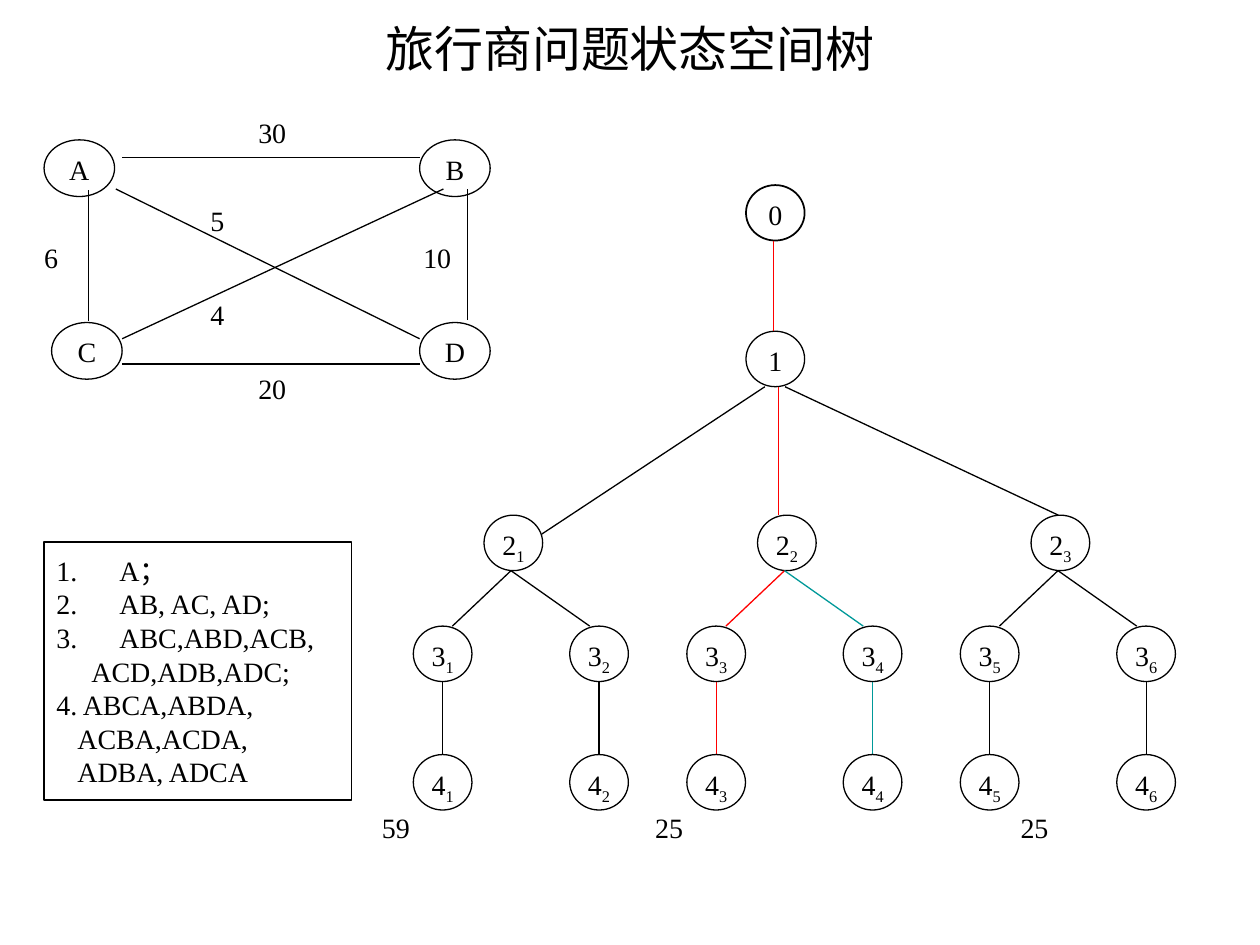
from lxml import etree
from pptx import Presentation
from pptx.dml.color import RGBColor
from pptx.enum.shapes import MSO_CONNECTOR, MSO_SHAPE
from pptx.enum.text import MSO_ANCHOR, PP_ALIGN
from pptx.oxml.ns import qn
from pptx.util import Pt

BLACK = RGBColor(0x00, 0x00, 0x00)
RED = RGBColor(0xFF, 0x00, 0x00)
TEAL = RGBColor(0x00, 0x99, 0x99)
STRAIGHT = MSO_CONNECTOR.STRAIGHT
ELLIPSE, RECTANGLE = MSO_SHAPE.OVAL, MSO_SHAPE.RECTANGLE
TOP, MIDDLE = MSO_ANCHOR.TOP, MSO_ANCHOR.MIDDLE
LEFT, CENTER = PP_ALIGN.LEFT, PP_ALIGN.CENTER
FONT, TITLE_FONT = "Times New Roman", "Arial"


def add_run(p, text, size=16, font=FONT):
    r = p.add_run()
    r.text = text
    r.font.size = Pt(size)
    r.font.name = font
    r.font.color.rgb = BLACK
    return r


def set_insets(tf, x, y):
    tf.margin_left = tf.margin_right = Pt(x)
    tf.margin_top = tf.margin_bottom = Pt(y)


def add_outline(shapes, kind, x, y, w, h, weight):
    sp = shapes.add_shape(kind, Pt(x), Pt(y), Pt(w), Pt(h))
    sp.shadow.inherit = False
    sp.fill.background()
    sp.line.color.rgb = BLACK
    sp.line.width = Pt(weight)
    return sp


def add_node(shapes, x, y, w, h, text, sub="", weight=0.75):
    tf = add_outline(shapes, ELLIPSE, x, y, w, h, weight).text_frame
    set_insets(tf, 0, 0)
    tf.word_wrap = True
    tf.vertical_anchor = TOP
    p = tf.paragraphs[0]
    p.alignment = CENTER
    p.line_spacing = 1.12
    add_run(p, text)
    if sub:
        r = add_run(p, sub)
        r._r.get_or_add_rPr().set("baseline", "-25000")


def add_edge(shapes, x1, y1, x2, y2, color=BLACK):
    line = shapes.add_connector(STRAIGHT, Pt(x1), Pt(y1), Pt(x2), Pt(y2))
    line.line.color.rgb = color
    line.line.width = Pt(0.75)
    etree.SubElement(line._element.spPr, qn("a:effectLst"))


def add_label(shapes, x, y, text):
    tf = shapes.add_textbox(Pt(x), Pt(y), Pt(18.7), Pt(17.3)).text_frame
    set_insets(tf, 0, 0)
    tf.word_wrap = True
    add_run(tf.paragraphs[0], text)


def format_title(sp, x, y, w, h):
    sp.left, sp.top, sp.width, sp.height = Pt(x), Pt(y), Pt(w), Pt(h)
    tf = sp.text_frame
    tf.vertical_anchor = MIDDLE
    p = tf.paragraphs[0]
    p.alignment = CENTER
    add_run(p, "旅行商问题状态空间树", 28, TITLE_FONT)


def draw_city_graph(shapes, x, y):
    cities = [("A", 0, 13.7), ("B", 214.6, 13.7),
              ("C", 4.3, 118.1), ("D", 214.6, 118.1)]
    roads = [(44.6, 23.8, 214.6, 23.8), (25.2, 42.5, 25.2, 117.4),
             (241.9, 41.8, 241.9, 116.6), (44.6, 141.8, 214.6, 141.8),
             (44.6, 127.4, 228.2, 41.8), (41, 41.8, 214.6, 127.4)]
    distances = [("30", 122.4, 0), ("5", 95, 50.4), ("6", 0, 71.3),
                 ("10", 216.7, 71.3), ("4", 95, 103.7), ("20", 122.4, 146.2)]
    for name, dx, dy in cities:
        add_node(shapes, x + dx, y + dy, 40.3, 32.4, name)
    for x1, y1, x2, y2 in roads:
        add_edge(shapes, x + x1, y + y1, x + x2, y + y2)
    for text, dx, dy in distances:
        add_label(shapes, x + dx, y + dy, text)


def draw_state_tree(shapes, x, y):
    w, h, pitch = 33.5, 31.7, 156.3
    root_x = x + 190.1
    levels = [y + dy for dy in (0, 83.5, 188.6, 252, 325.4)]
    bottoms = [level + h for level in levels]
    add_node(shapes, root_x, levels[0], w, h, "0", weight=1)
    add_node(shapes, root_x, levels[1], w, h, "1")
    add_edge(shapes, x + 205.9, bottoms[0], x + 205.9, levels[1], RED)
    add_edge(shapes, x + 200.9, bottoms[1], x + 73.4, y + 199.4)
    add_edge(shapes, x + 208.8, bottoms[1], x + 208.8, levels[2], RED)
    add_edge(shapes, x + 212.4, bottoms[1], x + 368.6, levels[2])

    branch_colors = [(BLACK, BLACK), (RED, TEAL), (BLACK, BLACK)]
    for i, colors in enumerate(branch_colors):
        left = x + i * pitch
        add_node(shapes, left + 40.4, levels[2], w, h, "2", str(i + 1))
        for j, color in enumerate(colors):
            sub = str(2 * i + j + 1)
            leaf_x = left + j * 89.4
            mid = leaf_x + w / 2
            add_edge(shapes, left + 55.8, bottoms[2],
                     left + (22.3, 100.8)[j], levels[3], color)
            add_edge(shapes, mid, bottoms[3], mid, levels[4], color)
            add_node(shapes, leaf_x, levels[3], w, h, "3", sub)
            add_node(shapes, leaf_x, levels[4], w, h, "4", sub)


def draw_costs(shapes, x, y):
    for text, dx in (("59", 0), ("25", 156.2), ("25", 365)):
        add_label(shapes, x + dx, y, text)


def draw_path_list(shapes, x, y, w, h):
    numbered = ["A；", "AB, AC, AD;", "ABC,ABD,ACB,"]
    plain = [("ACD,ADB,ADC;", 20), ("4. ABCA,ABDA,", 0),
             ("ACBA,ACDA,", 12), ("ADBA, ADCA", 12)]
    rows = [(text, 36, -36) for text in numbered]
    rows += [(text, margin, 0) for text, margin in plain]
    tf = add_outline(shapes, RECTANGLE, x, y, w, h, 1).text_frame
    set_insets(tf, 7.2, 3.6)
    tf.word_wrap = True
    tf.vertical_anchor = MIDDLE
    for i, (text, margin, indent) in enumerate(rows):
        p = tf.add_paragraph() if i else tf.paragraphs[0]
        p.alignment = LEFT
        pPr = p._p.get_or_add_pPr()
        pPr.set("marL", str(Pt(margin)))
        pPr.set("indent", str(Pt(indent)))
        if indent:
            etree.SubElement(pPr, qn("a:buAutoNum"), type="arabicPeriod")
        add_run(p, text)


def main():
    prs = Presentation()
    prs.slide_width, prs.slide_height = Pt(720), Pt(540)
    s = prs.slides.add_slide(prs.slide_layouts[5])
    format_title(s.shapes.title, 36, 0, 648, 54.7)
    draw_city_graph(s.shapes.add_group_shape().shapes, 25.2, 66.2)
    draw_state_tree(s.shapes.add_group_shape().shapes, 236.2, 105.8)
    draw_costs(s.shapes.add_group_shape().shapes, 218.2, 463)
    draw_path_list(s.shapes, 25.2, 309.6, 175.7, 147.6)
    prs.save("out.pptx")


if __name__ == "__main__":
    main()
